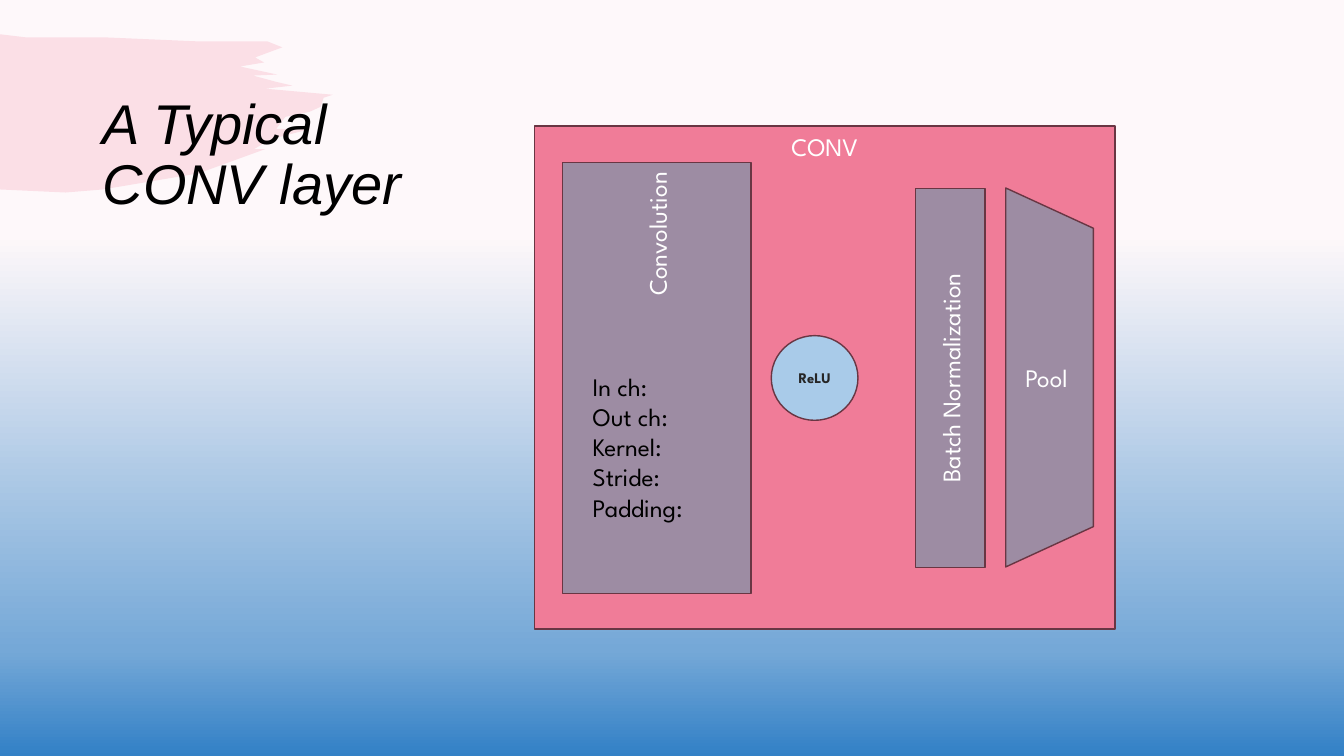
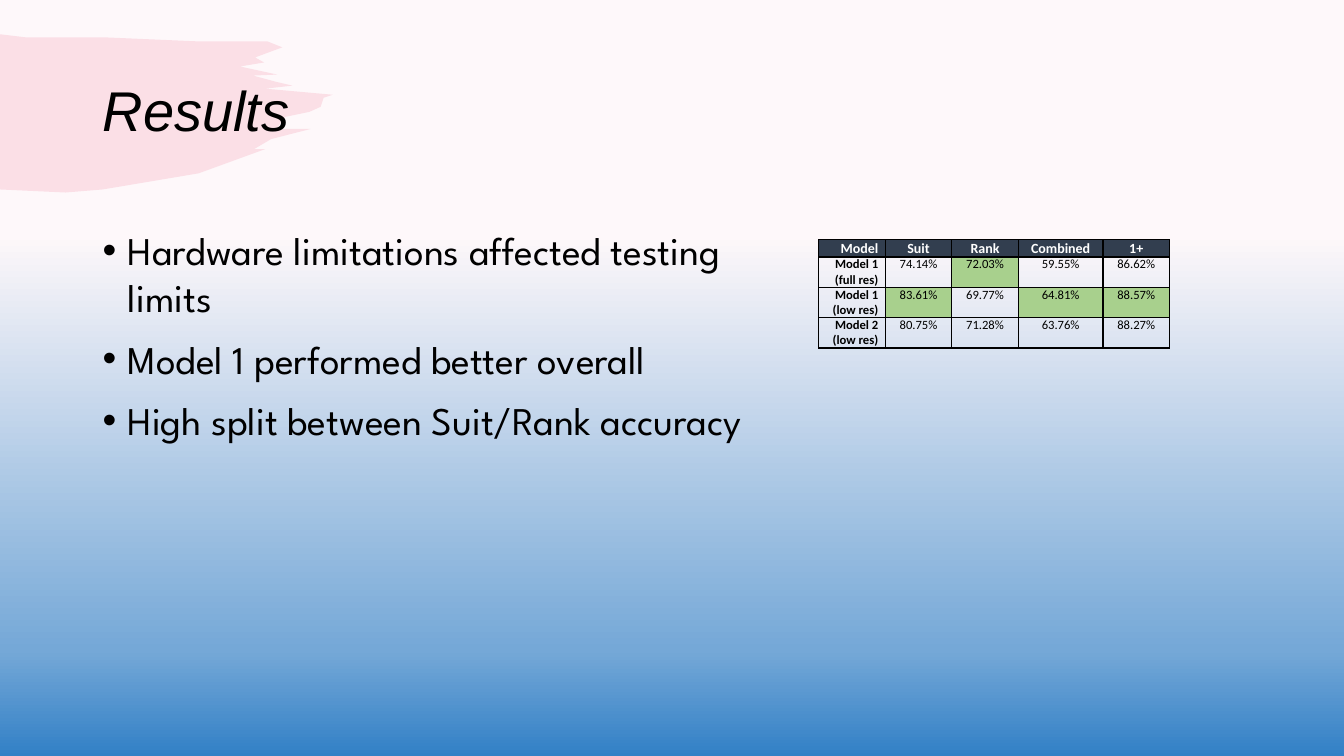
from copy import deepcopy

from lxml.etree import SubElement
from pptx import Presentation
from pptx.dml.color import RGBColor
from pptx.enum.shapes import MSO_SHAPE as SHAPE
from pptx.enum.text import MSO_ANCHOR as ANCHOR, PP_ALIGN as ALIGN
from pptx.oxml.ns import qn
from pptx.util import Inches, Pt

COLORS = {
    "sky_top": "FEF8FA",
    "sky_middle": "75A8D7",
    "sky_bottom": "3280C6",
    "pink": "F07C98",
    "outline": "693643",
    "mauve": "9D8CA3",
    "pale_blue": "A9CBE9",
    "dark_gray": "262626",
    "navy": "323E4F",
    "green": "A8D08D",
    "white": "FFFFFF",
    "black": "000000",
}
TITLE_FONT, BODY_FONT, TABLE_FONT = "Arial", "League Spartan", "Calibri"
SKY_STOPS = [(0.31, "sky_top"), (0.86, "sky_middle"), (1, "sky_bottom")]

# Corners of the brush stroke, clockwise from the top left.
BRUSH = [
    (0, 0.34), (0.25, 0.37), (1.02, 0.37), (1.94, 0.41), (2.65, 0.41),
    (2.8, 0.47), (2.53, 0.57), (2.62, 0.62), (2.38, 0.66), (2.75, 0.74),
    (2.51, 0.75), (2.73, 0.81), (2.9, 0.85), (2.63, 0.88), (3.3, 0.94),
    (3.21, 0.97), (3.18, 1.06), (3.07, 1.11), (2.83, 1.16), (2.74, 1.28),
    (3.08, 1.28), (2.69, 1.38), (2.52, 1.48), (2.63, 1.48), (1.97, 1.72),
    (1.02, 1.88), (0.65, 1.91), (0, 1.88),
]

RESULTS = [
    ("Model", "Suit", "Rank", "Combined", "1+"),
    ("Model 1 (full res)", "74.14%", "72.03%", "59.55%", "86.62%"),
    ("Model 1 (low res)", "83.61%", "69.77%", "64.81%", "88.57%"),
    ("Model 2 (low res)", "80.75%", "71.28%", "63.76%", "88.27%"),
]


def rgb(name):
    return RGBColor.from_string(COLORS[name])


def format_runs(p, font, size, color, bold=False, italic=False):
    for r in p.runs:
        r.font.name = font
        r.font.size = Pt(size)
        r.font.color.rgb = rgb(color)
        r.font.bold = bold
        r.font.italic = italic


def set_background(master):
    fill = master.background.fill
    fill.gradient()
    fill.gradient_angle = 270
    stop_list = master.element.find(".//" + qn("a:gsLst"))
    stop_list.append(deepcopy(stop_list[0]))
    for stop, (position, color) in zip(fill.gradient_stops, SKY_STOPS):
        stop.position = position
        stop.color.rgb = rgb(color)


def add_brush(slide):
    start, *rest = [(Inches(x), Inches(y)) for x, y in BRUSH]
    builder = slide.shapes.build_freeform(*start)
    builder.add_line_segments(rest)
    s = builder.convert_to_shape()
    s.shadow.inherit = False
    s.line.fill.background()
    s.fill.solid()
    s.fill.fore_color.rgb = rgb("pink")
    color = s.element.spPr.find(qn("a:solidFill"))[0]
    SubElement(color, qn("a:alpha"), val="20000")


def add_text(slide, box, lines, size, font=BODY_FONT, italic=False):
    tf = slide.shapes.add_textbox(*map(Inches, box)).text_frame
    tf.word_wrap = True
    tf.text = "\n".join(lines)
    for p in tf.paragraphs:
        format_runs(p, font, size, "black", italic=italic)
    return tf


def add_title(slide, text, box):
    tf = add_text(slide, box, [text], 40, TITLE_FONT, italic=True)
    tf.vertical_anchor = ANCHOR.MIDDLE
    tf.paragraphs[0].line_spacing = 0.9


def add_bullets(slide, box, lines):
    tf = add_text(slide, box, lines, 28)
    for i, p in enumerate(tf.paragraphs):
        pPr = p._p.get_or_add_pPr()
        pPr.set("marL", str(Inches(0.25)))
        pPr.set("indent", str(Inches(-0.25)))
        SubElement(pPr, qn("a:buFont"), typeface="Arial")
        SubElement(pPr, qn("a:buChar"), char="•")
        if i:
            p.space_before = Pt(10)


def add_block(slide, kind, box, text, fill="mauve", size=18, color="white",
              bold=False, align=ALIGN.CENTER, anchor=ANCHOR.MIDDLE,
              upward=False):
    """Outlined shape with a label; upward turns the label by 270 degrees."""
    s = slide.shapes.add_shape(kind, *map(Inches, box))
    s.shadow.inherit = False
    s.fill.solid()
    s.fill.fore_color.rgb = rgb(fill)
    s.line.color.rgb = rgb("outline")
    s.line.width = Pt(1)
    tf = s.text_frame
    tf.word_wrap = True
    tf.vertical_anchor = anchor
    if upward:
        s.element.txBody.find(qn("a:bodyPr")).set("vert", "vert270")
    tf.text = text
    p = tf.paragraphs[0]
    p.alignment = align
    format_runs(p, BODY_FONT, size, color, bold)
    return s


def add_borders(cell):
    tcPr = cell._tc.get_or_add_tcPr()
    for side in ("lnL", "lnR", "lnT", "lnB"):
        ln = SubElement(tcPr, qn(f"a:{side}"), w=str(Pt(1)))
        fill = SubElement(ln, qn("a:solidFill"))
        SubElement(fill, qn("a:srgbClr"), val=COLORS["black"])


def fill_cell(cell, text, header, label, best):
    cell.margin_left = cell.margin_right = Inches(0.07)
    cell.margin_top = cell.margin_bottom = 0
    add_borders(cell)
    if header or best:
        cell.fill.solid()
        cell.fill.fore_color.rgb = rgb("navy" if header else "green")
    else:
        cell.fill.background()
    cell.text_frame.text = text
    p = cell.text_frame.paragraphs[0]
    p.alignment = ALIGN.RIGHT if label else ALIGN.CENTER
    format_runs(p, TABLE_FONT, 10 if header else 9,
                "white" if header else "black", bold=header or label)


def add_results_table(slide, box):
    """Accuracy table with the best value of each column in green."""
    table = slide.shapes.add_table(
        len(RESULTS), len(RESULTS[0]), *map(Inches, box)).table
    table.first_row = table.horz_banding = False
    for i, row in enumerate(table.rows):
        row.height = Inches(0.3 if i else 0.17)
    for j, column in enumerate(zip(*RESULTS)):
        table.columns[j].width = Inches(0.84 if column[0] == "Combined"
                                        else 0.66)
        best = max(column[1:])
        for i, text in enumerate(column):
            fill_cell(table.cell(i, j), text, header=i == 0, label=j == 0,
                      best=j > 0 and text == best)


def add_slide(prs, title, title_box):
    slide = prs.slides.add_slide(prs.slide_layouts[6])
    add_brush(slide)
    add_title(slide, title, title_box)
    return slide


def build_layer_slide(prs):
    slide = add_slide(prs, "A Typical CONV layer", (0.92, 0.4, 3.95, 2.3))
    add_block(slide, SHAPE.RECTANGLE, (5.3, 1.25, 5.76, 4.99), "CONV",
              fill="pink", anchor=ANCHOR.TOP)
    add_block(slide, SHAPE.RECTANGLE, (9.08, 1.87, 0.69, 3.76),
              "Batch Normalization", upward=True)
    pool = add_block(slide, SHAPE.TRAPEZOID, (8.53, 3.31, 3.76, 0.87),
                     "Pool", upward=True)
    pool.adjustments[0] = 0.46
    pool.rotation = 90
    add_block(slide, SHAPE.OVAL, (7.65, 3.33, 0.86, 0.84), "ReLU",
              fill="pale_blue", size=10.5, color="dark_gray", bold=True)
    add_block(slide, SHAPE.RECTANGLE, (5.58, 1.61, 1.87, 4.28),
              "Convolution", align=ALIGN.RIGHT, upward=True)
    add_text(slide, (5.78, 3.63, 1.47, 1.92),
             ["In ch:", "Out ch:", "Kernel:", "Stride:", "Padding:"], 18)


def build_results_slide(prs):
    slide = add_slide(prs, "Results", (0.92, 0.4, 11.5, 1.45))
    add_results_table(slide, (8.12, 2.38, 3.48, 1.07))
    add_bullets(slide, (0.92, 2.2, 7.09, 4.55), [
        "Hardware limitations affected testing limits",
        "Model 1 performed better overall",
        "High split between Suit/Rank accuracy",
    ])


def main():
    prs = Presentation()
    prs.slide_width, prs.slide_height = Inches(13.33), Inches(7.5)
    set_background(prs.slide_master)
    build_layer_slide(prs)
    build_results_slide(prs)
    prs.save("out.pptx")


if __name__ == "__main__":
    main()
